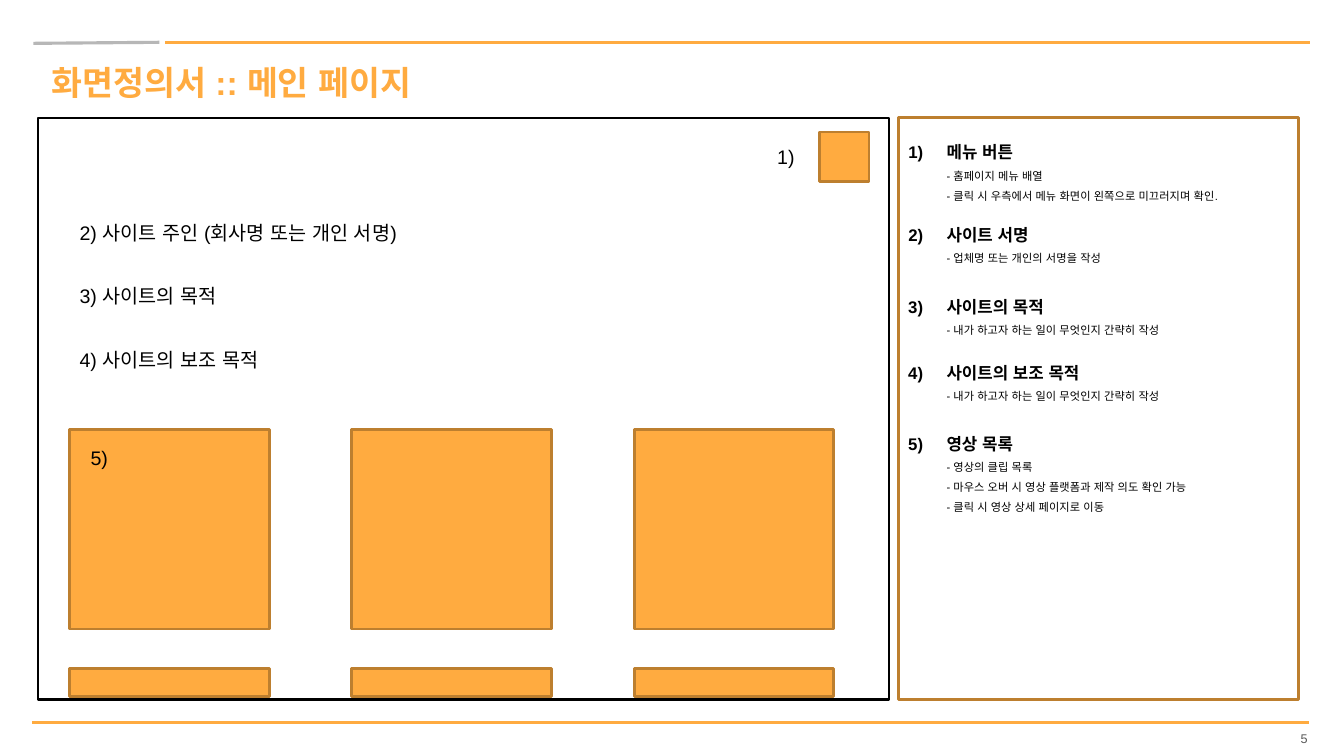
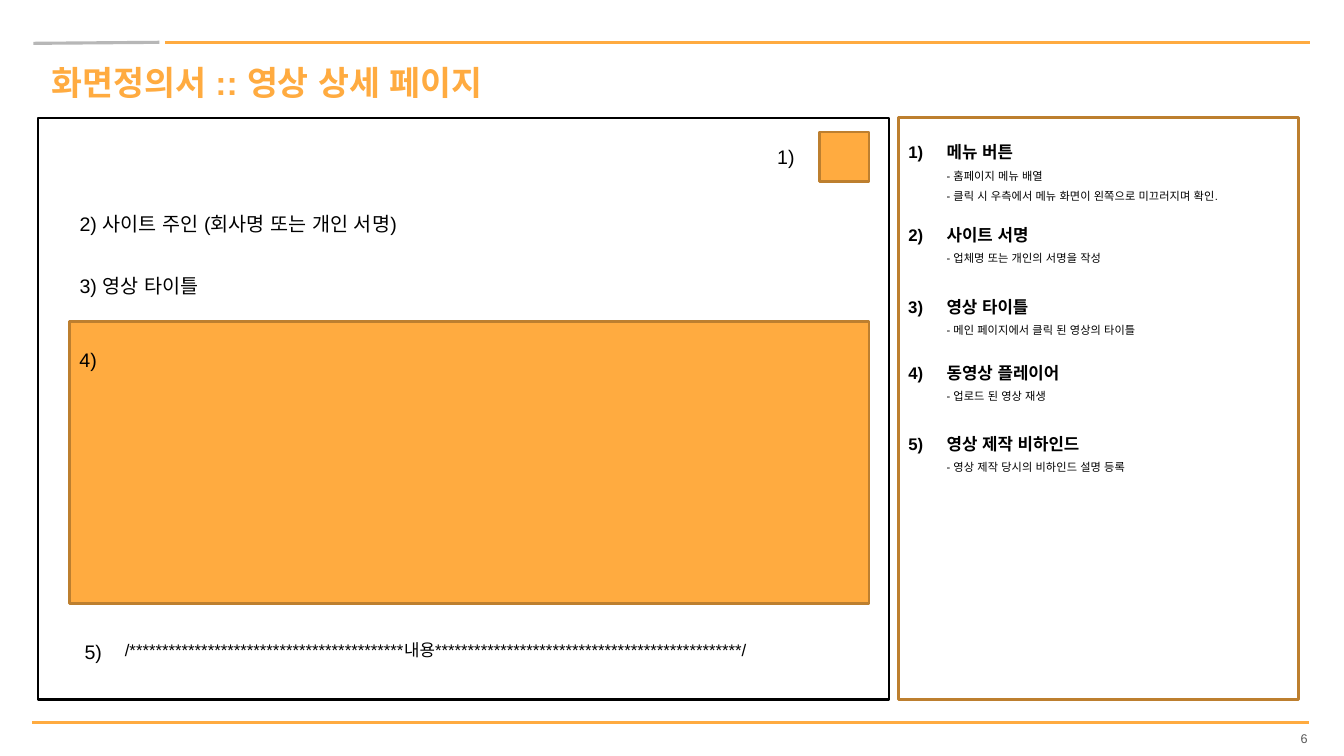
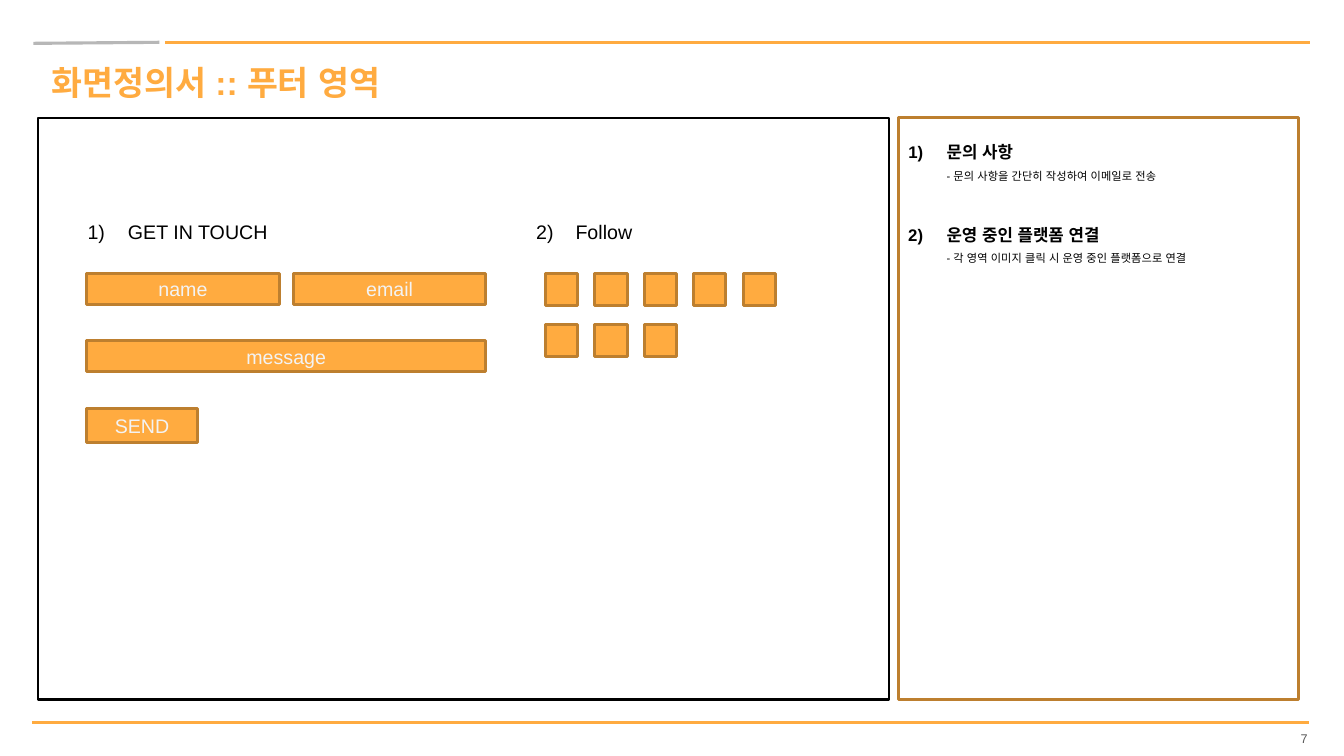
from dataclasses import dataclass

from lxml import etree
from pptx import Presentation
from pptx.dml.color import RGBColor
from pptx.enum import shapes, text
from pptx.oxml import ns
from pptx.util import Inches, Pt


@dataclass(frozen=True)
class Theme:
    font: str = "Arial"
    gold: str = "FFAB40"
    brown: str = "BD7F2F"
    black: str = "000000"
    grey: str = "B7B7B7"
    dim: str = "595959"
    pale: str = "F3F3F3"
    title: float = 24
    body: float = 14
    head: float = 12
    small: float = 8
    page: float = 9


@dataclass(frozen=True)
class Box:
    x: float
    y: float
    w: float
    h: float

    def sub(self, x, y, w, h):
        return Box(self.x + x, self.y + y, w, h)

    def emu(self):
        return [Inches(round(v, 2)) for v in (self.x, self.y, self.w, self.h)]


T = Theme()
TITLE = Box(0.38, 0.53, 7.78, 0.57)
PAGE = Box(12.3, 7.04, 0.8, 0.57)
MOCK = Box(0.38, 1.17, 8.44, 5.77)
NOTES = Box(8.91, 1.17, 3.97, 5.77)
RULES = (
    (0.32, 7.17, 12.98, 7.17, T.gold),
    (1.64, 0.42, 12.99, 0.42, T.gold),
    (0.33, 0.43, 1.58, 0.42, T.grey),
)
NOTE_TOPS = (0.09, 0.91, 1.62, 2.28, 2.98)

MENU = (3.55, "메뉴 버튼", "- 홈페이지 메뉴 배열",
        "- 클릭 시 우측에서 메뉴 화면이 왼쪽으로 미끄러지며 확인.")
OWNER = (2.29, "사이트 서명", "- 업체명 또는 개인의 서명을 작성")
AIM = "- 내가 하고자 하는 일이 무엇인지 간략히 작성"
MAIN_NOTES = (
    MENU, OWNER,
    (2.93, "사이트의 목적", AIM),
    (2.93, "사이트의 보조 목적", AIM),
    (3.23, "영상 목록", "- 영상의 클립 목록",
     "- 마우스 오버 시 영상 플랫폼과 제작 의도 확인 가능",
     "- 클릭 시 영상 상세 페이지로 이동"),
)
VIDEO_NOTES = (
    MENU, OWNER,
    (2.66, "영상 타이틀", "- 메인 페이지에서 클릭 된 영상의 타이틀"),
    (1.82, "동영상 플레이어", "- 업로드 된 영상 재생"),
    (2.55, "영상 제작 비하인드", "- 영상 제작 당시의 비하인드 설명 등록"),
)
FOOT_NOTES = (
    (2.89, "문의 사항", "- 문의 사항을 간단히 작성하여 이메일로 전송"),
    (3.23, "운영 중인 플랫폼 연결",
     "- 각 영역 이미지 클릭 시 운영 중인 플랫폼으로 연결"),
)
OWNER_LINE = "2) 사이트 주인 (회사명 또는 개인 서명)"
CONTENT = "/******************************************내용***********************************************/"


def write(para, words, size=T.body, color=T.black, bold=False,
          align=text.PP_ALIGN.LEFT, space=None):
    para.alignment = align
    if space:
        para.line_spacing = space
    run = para.add_run()
    run.text = words
    run.font.name = T.font
    run.font.size = Pt(size)
    run.font.bold = bold
    run.font.color.rgb = RGBColor.from_string(color)
    east = etree.SubElement(run.font._element, ns.qn("a:ea"))
    east.set("typeface", T.font)


def pad(frame, inset=0.13):
    frame.margin_left = frame.margin_right = Inches(inset)
    frame.margin_top = frame.margin_bottom = Inches(inset)


def label(slide, box, words, **form):
    frame = slide.shapes.add_textbox(*box.emu()).text_frame
    frame.word_wrap = False
    frame.auto_size = text.MSO_AUTO_SIZE.SHAPE_TO_FIT_TEXT
    write(frame.paragraphs[0], words, **form)


def block(slide, box, words="", fill=T.gold, line=T.brown, width=2):
    shape = slide.shapes.add_shape(shapes.MSO_SHAPE.RECTANGLE, *box.emu())
    shape.shadow.inherit = False
    if fill:
        shape.fill.solid()
        shape.fill.fore_color.rgb = RGBColor.from_string(fill)
    else:
        shape.fill.background()
    shape.line.color.rgb = RGBColor.from_string(line)
    shape.line.width = Pt(width)
    if words:
        frame = shape.text_frame
        frame.vertical_anchor = text.MSO_ANCHOR.MIDDLE
        write(frame.paragraphs[0], words, color=T.pale,
              align=text.PP_ALIGN.CENTER)


def rule(slide, x1, y1, x2, y2, color):
    line = slide.shapes.add_connector(
        shapes.MSO_CONNECTOR.STRAIGHT, *map(Inches, (x1, y1, x2, y2)))
    line.line.color.rgb = RGBColor.from_string(color)
    line.line.width = Pt(2.25)
    etree.SubElement(line._element.spPr, ns.qn("a:effectLst"))


def note(slide, box, num, head, rows):
    frame = slide.shapes.add_textbox(*box.emu()).text_frame
    frame.word_wrap = False
    frame.auto_size = text.MSO_AUTO_SIZE.SHAPE_TO_FIT_TEXT
    para = frame.paragraphs[0]
    write(para, head, size=T.head, bold=True, space=1.5)
    props = para._p.get_or_add_pPr()
    props.set("marL", str(Inches(0.38)))
    props.set("indent", str(-Inches(0.38)))
    mark = etree.SubElement(props, ns.qn("a:buAutoNum"))
    mark.set("type", "arabicParenR")
    mark.set("startAt", str(num))
    for row in rows:
        para = frame.add_paragraph()
        write(para, row, size=T.small, space=1.5)
        para._p.get_or_add_pPr().set("marL", str(Inches(0.38)))


def notes(slide, box, items):
    block(slide, box, fill=None)
    for num, (top, (wide, head, *rows)) in enumerate(zip(NOTE_TOPS, items), 1):
        high = 0.41 + 0.2 * len(rows)
        note(slide, box.sub(0, top, wide, high), num, head, rows)


def menu(slide, box):
    label(slide, box.sub(7.23, 0.22, 0.43, 0.34), "1)")
    block(slide, box.sub(7.75, 0.14, 0.49, 0.49))


def main_mock(slide, box):
    menu(slide, box)
    lines = ((OWNER_LINE, 3.72), ("3) 사이트의 목적", 1.69),
             ("4) 사이트의 보조 목적", 2.15))
    for i, (words, wide) in enumerate(lines):
        label(slide, box.sub(0.31, 0.97 + 0.63 * i, wide, 0.34), words)
    for top, high in ((3.09, 1.98), (5.46, 0.28)):
        for col in range(3):
            block(slide, box.sub(0.31 + 2.8 * col, top, 1.98, high))
    label(slide, box.sub(0.42, 3.2, 0.43, 0.34), "5)")


def video_mock(slide, box):
    menu(slide, box)
    block(slide, box.sub(0.31, 2.02, 7.93, 2.8))
    for left, top, wide, words in (
            (0.31, 0.88, 3.72, OWNER_LINE),
            (0.31, 1.5, 1.49, "3) 영상 타이틀"),
            (0.31, 2.23, 0.37, "4)"),
            (0.36, 5.13, 0.43, "5)")):
        label(slide, box.sub(left, top, wide, 0.34), words)
    label(slide, box.sub(0.76, 5.13, 7.07, 0.3), CONTENT, size=T.head)


def foot_mock(slide, box):
    for left, wide, words in ((0.39, 0.37, "1)"), (0.79, 1.61, "GET IN TOUCH"),
                              (4.84, 0.37, "2)"), (5.23, 0.77, "Follow")):
        label(slide, box.sub(left, 0.96, wide, 0.34), words)
    for left, top, wide, high, words in (
            (0.48, 1.54, 1.91, 0.31, "name"),
            (2.53, 1.54, 1.91, 0.31, "email"),
            (0.48, 2.21, 3.96, 0.31, "message"),
            (0.48, 2.88, 1.1, 0.34, "SEND")):
        block(slide, box.sub(left, top, wide, high), words)
    for i in range(8):
        row, col = divmod(i, 5)
        block(slide, box.sub(5.03 + 0.49 * col, 1.54 + 0.51 * row, 0.32, 0.32))


def base(deck, name, num):
    slide = deck.slides.add_slide(deck.slide_layouts[5])
    for ends in RULES:
        rule(slide, *ends)
    title = slide.shapes.title
    title.left, title.top, title.width, title.height = TITLE.emu()
    frame = title.text_frame
    frame.word_wrap = True
    frame.auto_size = text.MSO_AUTO_SIZE.NONE
    frame.vertical_anchor = text.MSO_ANCHOR.TOP
    pad(frame)
    write(frame.paragraphs[0], "화면정의서 :: " + name, size=T.title,
          color=T.gold, bold=True, space=0.9)
    frame = slide.shapes.add_textbox(*PAGE.emu()).text_frame
    frame.word_wrap = True
    frame.vertical_anchor = text.MSO_ANCHOR.MIDDLE
    pad(frame)
    write(frame.paragraphs[0], str(num), size=T.page, color=T.dim,
          align=text.PP_ALIGN.RIGHT)
    return slide


def main():
    deck = Presentation()
    deck.slide_width, deck.slide_height = Inches(13.33), Inches(7.5)
    plan = (
        ("메인 페이지", main_mock, MAIN_NOTES),
        ("영상 상세 페이지", video_mock, VIDEO_NOTES),
        ("푸터 영역", foot_mock, FOOT_NOTES),
    )
    for num, (name, mock, items) in enumerate(plan, 5):
        slide = base(deck, name, num)
        block(slide, MOCK, fill=None, line=T.black, width=1.5)
        mock(slide, MOCK)
        notes(slide, NOTES, items)
    deck.save("out.pptx")


if __name__ == "__main__":
    main()
